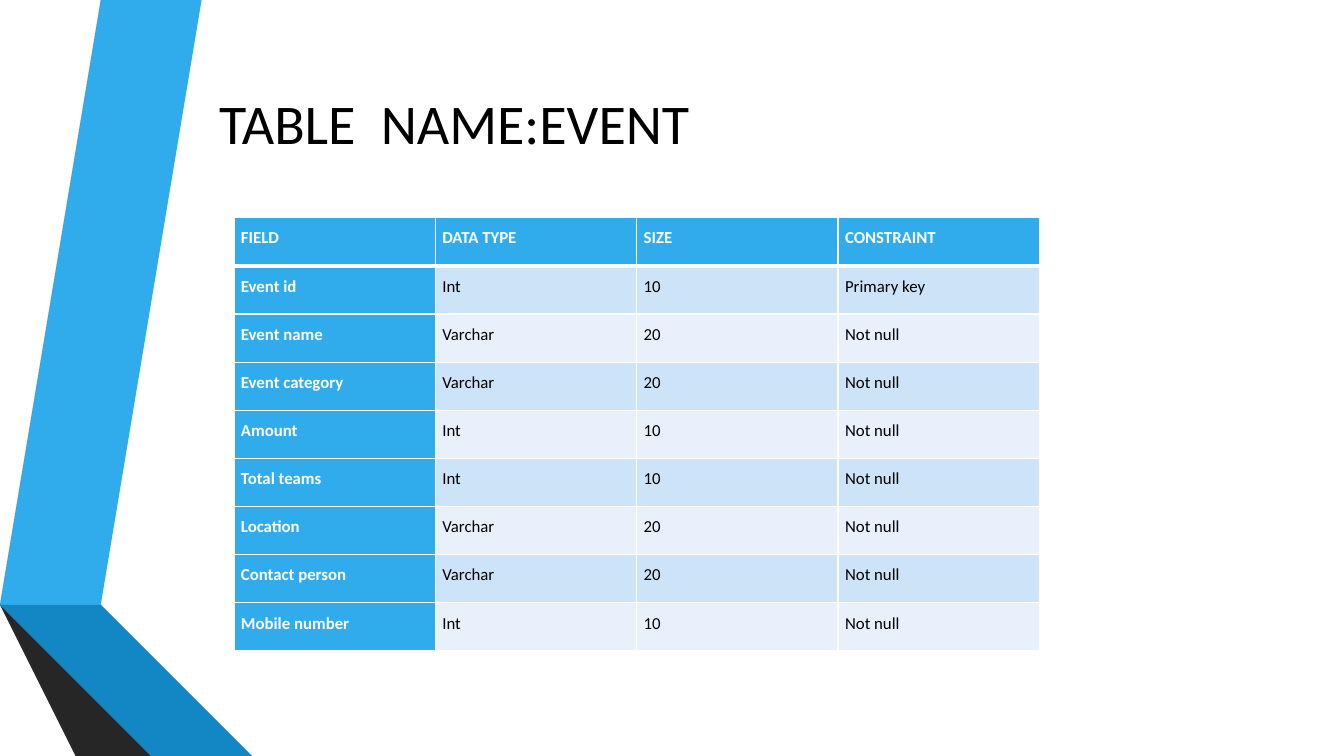
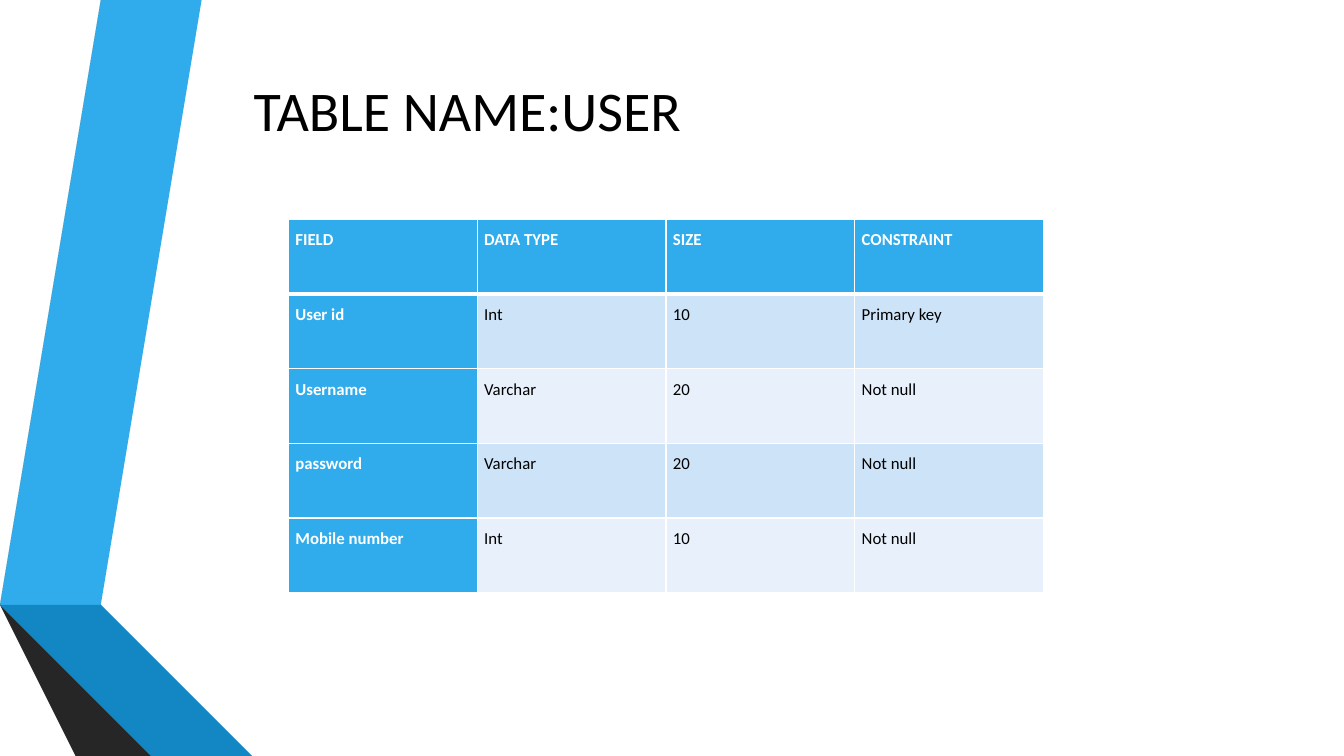
from dataclasses import dataclass

from lxml import etree
from pptx import Presentation
from pptx.dml.color import RGBColor
from pptx.enum.text import MSO_ANCHOR, MSO_AUTO_SIZE, PP_ALIGN
from pptx.oxml.ns import qn
from pptx.util import Inches, Pt

MIDDLE = MSO_ANCHOR.MIDDLE
CENTER = PP_ALIGN.CENTER
LEFT = PP_ALIGN.LEFT
NO_AUTOFIT = MSO_AUTO_SIZE.NONE
TITLE_ONLY = 5
EMU_PER_INCH = Inches(1)


@dataclass(frozen=True)
class Theme:
    font: str = "Calibri"
    title_size: int = 40
    cell_size: int = 12
    line_spacing: float = 1.5
    cell_inset: float = 0.07
    rule: int = 1
    header_rule: int = 3
    ink: str = "000000"
    paper: str = "FFFFFF"
    accent: str = "30ACEC"
    accent_dark: str = "1287C3"
    accent_shadow: str = "0C5A82"
    gray: str = "595959"
    gray_dark: str = "404040"
    gray_shadow: str = "262626"
    band_odd: str = "CDE3F8"
    band_even: str = "E8F1FB"


THEME = Theme()

RIBBON_FACETS = [
    (THEME.accent, [(0.5, 5.78), (0.77, 5.83), (1.73, 0), (1.45, 0)]),
    (THEME.gray, [(1.39, 0), (1.11, 0), (0.16, 5.73), (0.44, 5.77)]),
    (THEME.gray_shadow, [(0.16, 5.73), (1.45, 7.5), (1.51, 7.5)]),
    (THEME.accent_shadow, [(0.5, 5.79), (2.08, 7.5), (2.14, 7.5)]),
    (THEME.accent_dark, [(0.5, 5.78), (0.5, 5.79), (2.14, 7.5), (2.83, 7.5), (0.77, 5.83)]),
    (THEME.gray_dark, [(2.02, 7.5), (0.48, 5.83), (0.44, 5.77), (0.16, 5.73), (1.51, 7.5)]),
]

HEADINGS = ("FIELD", "DATA TYPE", "SIZE", "CONSTRAINT")

EVENT_FIELDS = [
    ("Event id", "Int", "10", "Primary key"),
    ("Event name", "Varchar", "20", "Not null"),
    ("Event category", "Varchar", "20", "Not null"),
    ("Amount", "Int", "10", "Not null"),
    ("Total teams", "Int", "10", "Not null"),
    ("Location", "Varchar", "20", "Not null"),
    ("Contact person", "Varchar", "20", "Not null"),
    ("Mobile number", "Int", "10", "Not null"),
]

USER_FIELDS = [
    ("User id", "Int", "10", "Primary key"),
    ("Username", "Varchar", "20", "Not null"),
    ("password", "Varchar", "20", "Not null"),
    ("Mobile number", "Int", "10", "Not null"),
]


def rgb(color):
    return RGBColor.from_string(color)


def write_text(frame, text, *, size, color=THEME.ink, bold=False, align=LEFT, spacing=None):
    para = frame.paragraphs[0]
    para.alignment = align
    if spacing:
        para.line_spacing = spacing
    span = para.add_run()
    span.text = text
    span.font.name = THEME.font
    span.font.size = Pt(size)
    span.font.bold = bold
    span.font.color.rgb = rgb(color)


def add_facet(page, color, points):
    builder = page.shapes.build_freeform(*points[0], scale=EMU_PER_INCH)
    builder.add_line_segments(points[1:], close=True)
    facet = builder.convert_to_shape()
    facet.shadow.inherit = False
    facet.fill.solid()
    facet.fill.fore_color.rgb = rgb(color)
    facet.line.fill.background()
    return facet


def decorate_layout(layout, page):
    """Draw the folded ribbons on the page, then move them to its layout."""
    title_id = page.shapes.title.placeholder_format.idx
    for holder in list(layout.placeholders):
        if holder.placeholder_format.idx != title_id:
            layout.shapes.element.remove(holder.element)
    for color, points in RIBBON_FACETS:
        layout.shapes.element.append(add_facet(page, color, points).element)


def place_title(page, text, box):
    title = page.shapes.title
    title.left, title.top, title.width, title.height = map(Inches, box)
    frame = title.text_frame
    frame.word_wrap = True
    frame.auto_size = NO_AUTOFIT
    frame.vertical_anchor = MIDDLE
    write_text(frame, text, size=THEME.title_size, align=CENTER)


def set_borders(cell, top, bottom):
    """Rule the cell in white; must run before the cell is filled."""
    properties = cell._tc.get_or_add_tcPr()
    widths = {"a:lnL": THEME.rule, "a:lnR": THEME.rule, "a:lnT": top, "a:lnB": bottom}
    for tag, width in widths.items():
        line = etree.SubElement(properties, qn(tag), w=str(Pt(width)))
        fill = etree.SubElement(line, qn("a:solidFill"))
        etree.SubElement(fill, qn("a:srgbClr"), val=THEME.paper)


def format_cell(cell, text, row, column):
    is_heading = row == 0 or column == 0
    band = THEME.band_odd if row % 2 else THEME.band_even
    set_borders(
        cell,
        top=THEME.header_rule if row == 1 else THEME.rule,
        bottom=THEME.header_rule if row == 0 else THEME.rule,
    )
    cell.fill.solid()
    cell.fill.fore_color.rgb = rgb(THEME.accent if is_heading else band)
    cell.margin_left = cell.margin_right = Inches(THEME.cell_inset)
    cell.margin_top = cell.margin_bottom = 0
    write_text(
        cell.text_frame,
        text,
        size=THEME.cell_size,
        color=THEME.paper if is_heading else THEME.ink,
        bold=is_heading,
        spacing=THEME.line_spacing,
    )


def place_table(page, fields, box):
    records = [HEADINGS, *fields]
    # Equal columns and rows: add_table shares the box out evenly.
    table = page.shapes.add_table(len(records), len(HEADINGS), *map(Inches, box)).table
    table.first_col = True
    for row, record in enumerate(records):
        for column, text in enumerate(record):
            format_cell(table.cell(row, column), text, row, column)


def add_schema_page(deck, title, title_box, fields, table_box):
    page = deck.slides.add_slide(deck.slide_layouts[TITLE_ONLY])
    place_title(page, title, title_box)
    place_table(page, fields, table_box)
    return page


def main():
    deck = Presentation()
    deck.slide_width, deck.slide_height = Inches(13.33), Inches(7.5)
    event_page = add_schema_page(
        deck, "TABLE  NAME:EVENT", (1.33, 0.57, 6.35, 1.28),
        EVENT_FIELDS, (2.32, 2.16, 7.99, 4.3),
    )
    decorate_layout(deck.slide_layouts[TITLE_ONLY], event_page)
    add_schema_page(
        deck, "TABLE NAME:USER", (1.62, 0.68, 6.03, 0.8),
        USER_FIELDS, (2.86, 2.18, 7.49, 3.7),
    )
    deck.save("out.pptx")


if __name__ == "__main__":
    main()
